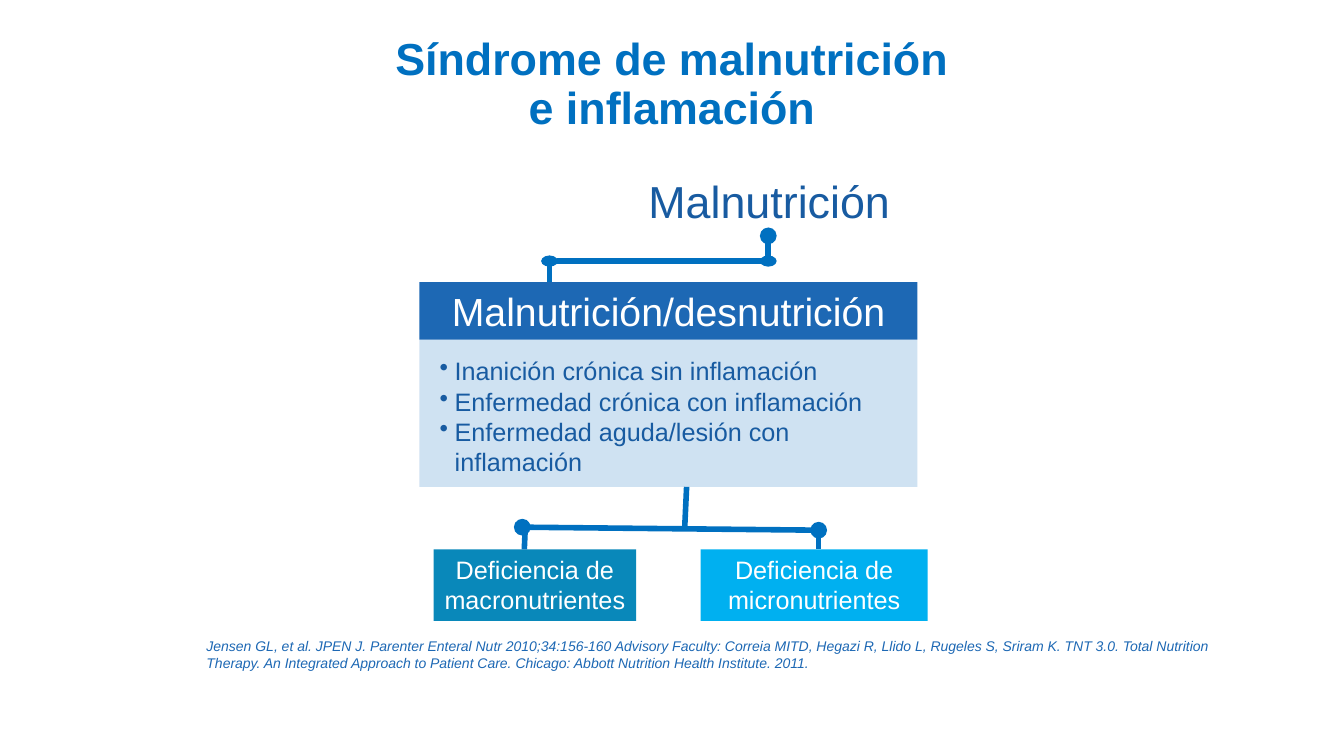
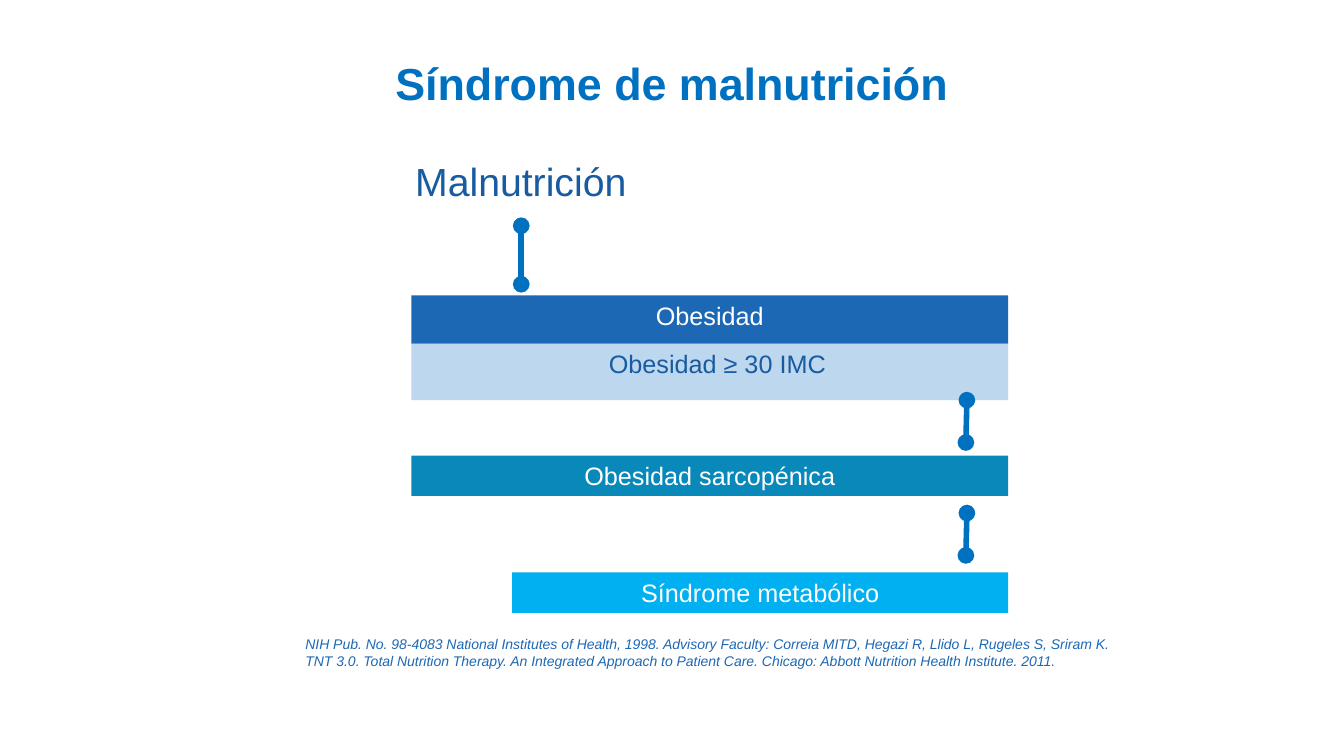
from lxml import etree
from pptx import Presentation
from pptx.dml.color import RGBColor
from pptx.enum.shapes import MSO_CONNECTOR, MSO_SHAPE
from pptx.enum.text import MSO_ANCHOR, PP_ALIGN
from pptx.oxml.ns import qn
from pptx.util import Inches, Pt

RECTANGLE, STRAIGHT = MSO_SHAPE.RECTANGLE, MSO_CONNECTOR.STRAIGHT
LEFT, CENTER = PP_ALIGN.LEFT, PP_ALIGN.CENTER
TOP, MIDDLE = MSO_ANCHOR.TOP, MSO_ANCHOR.MIDDLE

FONT = "Arial"
TITLE_BLUE = "0070C0"
TEXT_BLUE = "185BA1"
BAND_BLUE = "1D68B4"
PALE_BLUE = "BDD7EE"
TEAL = "0988BA"
SKY = "00B0F0"
WHITE = "FFFFFF"

TITLE_AREA = (2.27, 0.35, 8.79, 1)
TITLE_ONLY = 5
NO_ENDS, HEAD, BOTH = (), ("headEnd",), ("headEnd", "tailEnd")

SLIDES = [
    {
        "title": "Síndrome de malnutrición\ve inflamación",
        "topic": ("Malnutrición", (5.92, 1.67, 3.42, 0.64), 32),
        "panel": {
            "area": (4.16, 2.8, 4.94, 2.03),
            "header": "Malnutrición/desnutrición",
            "header_height": 0.57,
            "header_size": 28,
            "items": [
                "Inanición crónica sin inflamación",
                "Enfermedad crónica con inflamación",
                "Enfermedad aguda/lesión con inflamación",
            ],
            "bulleted": True,
            "inset_top": 0.16,
            "opacity": 72,
        },
        "bars": [
            ("Deficiencia de macronutrientes", (4.3, 5.45, 2.01, 0.71), TEAL),
            ("Deficiencia de micronutrientes", (6.95, 5.45, 2.25, 0.71), SKY),
        ],
        "links": [
            (7.62, 2.34, 7.62, 2.59, HEAD, "med"),
            (5.45, 2.59, 7.62, 2.59, BOTH, "sm"),
            (5.45, 2.59, 5.45, 2.8, NO_ENDS, "med"),
            (6.81, 4.83, 6.79, 5.26, NO_ENDS, "med"),
            (5.18, 5.23, 8.12, 5.26, BOTH, "med"),
            (5.21, 5.23, 5.2, 5.45, NO_ENDS, "med"),
            (8.12, 5.26, 8.12, 5.45, NO_ENDS, "med"),
        ],
        "source": (
            "Jensen GL, et al. JPEN J. Parenter Enteral Nutr 2010;34:156-160 "
            "Advisory Faculty: Correia MITD, Hegazi R, Llido L, Rugeles S, Sriram K. "
            "TNT 3.0. Total Nutrition Therapy. An Integrated Approach to Patient Care. "
            "Chicago: Abbott Nutrition Health Institute. 2011.",
            (1.95, 6.28, 10.23, 0.59),
        ),
    },
    {
        "title": "Síndrome de malnutrición",
        "topic": ("Malnutrición", (3.25, 1.51, 3.83, 0.57), 28),
        "panel": {
            "area": (4.08, 2.93, 5.92, 1.04),
            "header": "Obesidad",
            "header_height": 0.48,
            "header_size": 18,
            "items": ["Obesidad ≥ 30 IMC"],
            "bulleted": False,
            "inset_top": 0.05,
            "opacity": 100,
        },
        "bars": [
            ("Obesidad sarcopénica", (4.08, 4.52, 5.92, 0.4), TEAL),
            ("Síndrome metabólico", (5.08, 5.68, 4.92, 0.4), SKY),
        ],
        "links": [
            (5.17, 2.24, 5.17, 2.82, BOTH, "med"),
            (9.59, 3.97, 9.58, 4.39, BOTH, "med"),
            (9.59, 5.09, 9.58, 5.51, BOTH, "med"),
        ],
        "source": (
            "NIH Pub. No. 98-4083 National Institutes of Health, 1998. "
            "Advisory Faculty: Correia MITD, Hegazi R, Llido L, Rugeles S, Sriram K. "
            "TNT 3.0. Total Nutrition Therapy. An Integrated Approach to Patient Care. "
            "Chicago: Abbott Nutrition Health Institute. 2011.",
            (2.93, 6.26, 8.22, 0.61),
        ),
    },
]


def color(value):
    return RGBColor.from_string(value)


def inches(lengths):
    return [Inches(length) for length in lengths]


def write(shape, text, size, ink, align=CENTER, anchor=TOP, bold=False,
          italic=False, spacing=1.0, bulleted=False):
    frame = shape.text_frame
    frame.word_wrap = True
    frame.vertical_anchor = anchor
    frame.text = text
    for para in frame.paragraphs:
        if bulleted:
            properties = para._p.get_or_add_pPr()
            properties.set("marL", str(Inches(0.15)))
            properties.set("indent", str(Inches(-0.15)))
            etree.SubElement(properties, qn("a:buChar"), char="•")
        para.alignment = align
        para.line_spacing = spacing
        for span in para.runs:
            span.font.name = FONT
            span.font.size = Pt(size)
            span.font.bold = bold
            span.font.italic = italic
            span.font.color.rgb = color(ink)


def add_label(page, text, area, size, ink, **style):
    write(page.shapes.add_textbox(*inches(area)), text, size, ink, **style)


def add_bar(page, text, area, fill, size=18, ink=WHITE, inset_left=0.05,
            inset_top=0.05, opacity=100, **style):
    bar = page.shapes.add_shape(RECTANGLE, *inches(area))
    bar.shadow.inherit = False
    bar.fill.solid()
    bar.fill.fore_color.rgb = color(fill)
    bar.line.fill.background()
    if opacity < 100:
        tint = bar._element.spPr.find(qn("a:solidFill"))[0]
        etree.SubElement(tint, qn("a:alpha"), val=str(opacity * 1000))
    frame = bar.text_frame
    frame.margin_left = Inches(inset_left)
    frame.margin_right = Inches(0.05)
    frame.margin_top = Inches(inset_top)
    write(bar, text, size, ink, **style)


def add_panel(page, panel):
    left, top, width, height = panel["area"]
    split = panel["header_height"]
    add_bar(page, "\n".join(panel["items"]), (left, top + split, width, height - split),
            PALE_BLUE, ink=TEXT_BLUE, inset_left=0.2, inset_top=panel["inset_top"],
            opacity=panel["opacity"], bulleted=panel["bulleted"],
            align=LEFT if panel["bulleted"] else CENTER)
    add_bar(page, panel["header"], (left, top, width, split), BAND_BLUE,
            size=panel["header_size"])


def add_link(page, x1, y1, x2, y2, ends, end_width):
    link = page.shapes.add_connector(STRAIGHT, *inches((x1, y1, x2, y2)))
    link.line.color.rgb = color(TITLE_BLUE)
    link.line.width = Pt(4)
    outline = link.line._get_or_add_ln()
    for end in ends:
        etree.SubElement(outline, qn(f"a:{end}"), type="oval", w=end_width, len="med")
    etree.SubElement(link._element.spPr, qn("a:effectLst"))


def add_page(deck, content):
    page = deck.slides.add_slide(deck.slide_layouts[TITLE_ONLY])
    title = page.shapes.title
    title.left, title.top, title.width, title.height = inches(TITLE_AREA)
    write(title, content["title"], 32, TITLE_BLUE, anchor=MIDDLE, bold=True, spacing=0.9)
    topic, area, size = content["topic"]
    add_label(page, topic, area, size, TEXT_BLUE)
    add_panel(page, content["panel"])
    for bar in content["bars"]:
        add_bar(page, *bar)
    for link in content["links"]:
        add_link(page, *link)
    add_label(page, *content["source"], 10, BAND_BLUE, align=LEFT, italic=True)


def main():
    deck = Presentation()
    deck.slide_width, deck.slide_height = inches((13.33, 7.5))
    for content in SLIDES:
        add_page(deck, content)
    deck.save("out.pptx")


if __name__ == "__main__":
    main()
